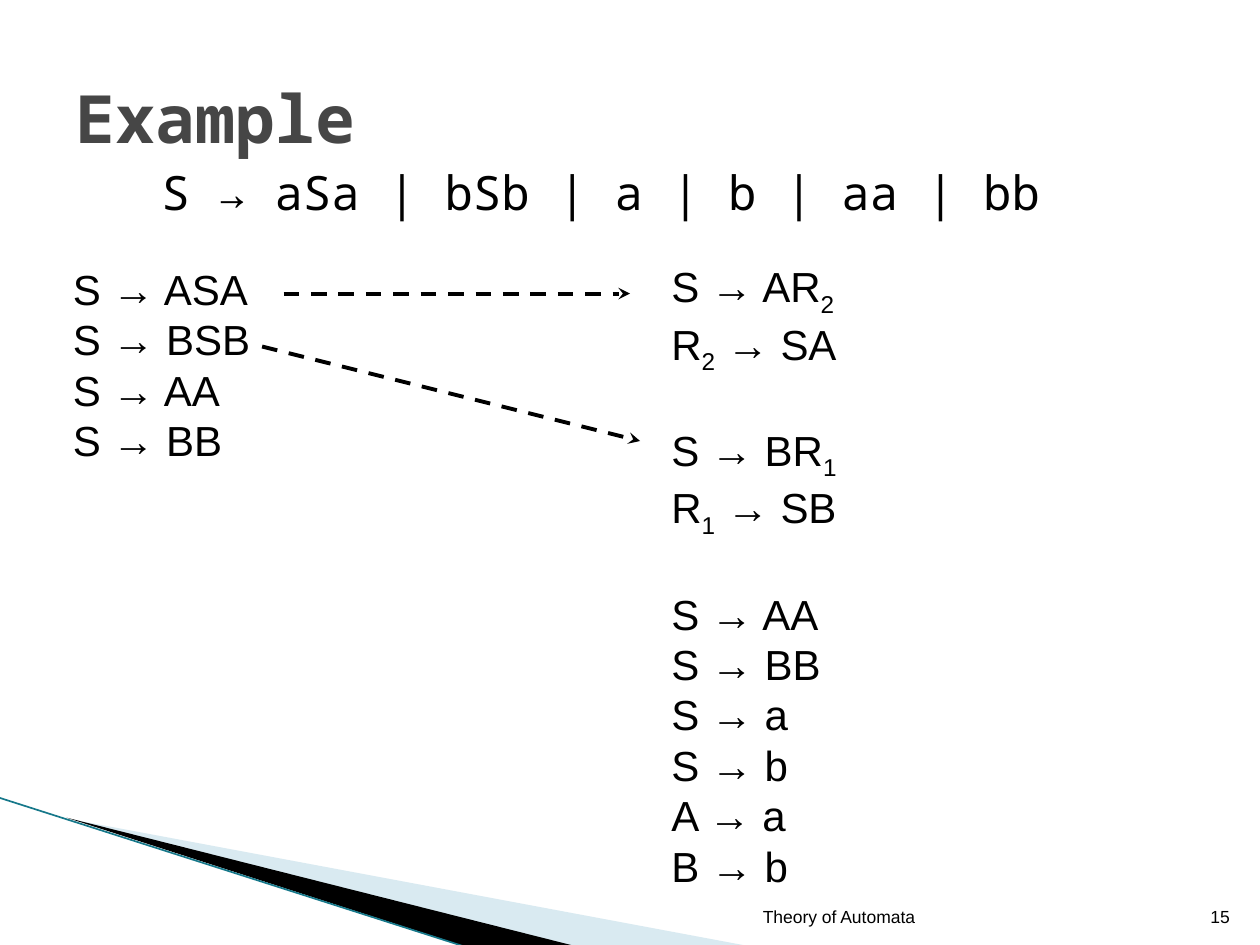
"""Build the slide that rewrites a palindrome grammar into Chomsky normal form."""
from dataclasses import dataclass
from typing import Optional

from lxml.etree import SubElement
from pptx import Presentation
from pptx.dml.color import RGBColor
from pptx.enum.dml import MSO_LINE
from pptx.enum.shapes import MSO_CONNECTOR
from pptx.enum.text import MSO_ANCHOR, MSO_AUTO_SIZE, PP_ALIGN
from pptx.oxml.ns import qn
from pptx.util import Inches, Pt

COLORS = {"ink": "000000", "title": "464646", "pale": "A0CBDC", "edge": "16788A"}
MONO, SANS = "Noto Sans Mono", "Arial"
Point = tuple[float, float]


@dataclass(frozen=True)
class Band:
    """A corner wedge with its fill."""
    points: tuple[Point, ...]
    color: str
    opacity: Optional[int] = None


@dataclass(frozen=True)
class Stroke:
    """A straight line, dashed with an arrowhead when it marks a derivation."""
    start: Point
    end: Point
    color: str
    width: float
    arrow: bool = False


BANDS = (
    Band(((0.55, 6.5), (5.95, 7.51), (4.56, 7.51)), "pale", 40),
    Band(((0.53, 6.49), (4.57, 7.51), (3.72, 7.52)), "ink"),
)
STROKES = (
    Stroke((-0.01, 6.33), (3.71, 7.52), "edge", 0.95),
    Stroke((2.25, 2.33), (5, 2.33), "ink", 2.25, True),
    Stroke((2.08, 2.75), (5.08, 3.5), "ink", 2.25, True),
)
START_RULES = (("S → ASA", "S → BSB", "S → AA", "S → BB"),)
NORMAL_RULES = (
    ("S → AR_2", "R_2 → SA"),
    ("S → BR_1", "R_1 → SB"),
    ("S → AA", "S → BB", "S → a", "S → b", "A → a", "B → b"),
)


def add_run(paragraph, text: str, font: str, size: float, color: str,
            bold: bool, subscript: bool = False) -> None:
    """Append one formatted run."""
    if not text:
        return
    run = paragraph.add_run()
    run.text = text
    run.font.name, run.font.size, run.font.bold = font, Pt(size), bold
    run.font.color.rgb = RGBColor.from_string(COLORS[color])
    if subscript:
        run.font._element.set("baseline", "-25000")


def write(shape, groups, *, at, font=SANS, size=24, color="ink", bold=False,
          align=PP_ALIGN.LEFT, anchor=MSO_ANCHOR.TOP, gap=28) -> None:
    """Place a shape and fill it with groups of lines, where _ marks a subscript."""
    shape.left, shape.top, shape.width, shape.height = map(Inches, at)
    frame = shape.text_frame
    frame.word_wrap, frame.auto_size = True, MSO_AUTO_SIZE.NONE
    frame.vertical_anchor = anchor
    paragraph = None
    for group_index, group in enumerate(groups):
        for line_index, line in enumerate(group):
            paragraph = frame.paragraphs[0] if paragraph is None else frame.add_paragraph()
            paragraph.alignment = align
            paragraph.space_before = Pt(gap if group_index and not line_index else 0)
            plain, *marked = line.split("_")
            add_run(paragraph, plain, font, size, color, bold)
            for piece in marked:
                add_run(paragraph, piece[0], font, size, color, bold, subscript=True)
                add_run(paragraph, piece[1:], font, size, color, bold)


def draw_band(slide, band: Band) -> None:
    """Draw a filled wedge without an outline."""
    start, *rest = [(Inches(x), Inches(y)) for x, y in band.points]
    builder = slide.shapes.build_freeform(*start)
    builder.add_line_segments(rest, close=True)
    wedge = builder.convert_to_shape()
    wedge.shadow.inherit = False
    wedge.line.fill.background()
    wedge.fill.solid()
    wedge.fill.fore_color.rgb = RGBColor.from_string(COLORS[band.color])
    if band.opacity is not None:
        fill_color = wedge._element.spPr.find(".//" + qn("a:srgbClr"))
        SubElement(fill_color, qn("a:alpha")).set("val", str(band.opacity * 1000))


def draw_stroke(slide, stroke: Stroke) -> None:
    """Draw a connector without a shadow."""
    ends = [Inches(value) for value in stroke.start + stroke.end]
    connector = slide.shapes.add_connector(MSO_CONNECTOR.STRAIGHT, *ends)
    connector.line.color.rgb = RGBColor.from_string(COLORS[stroke.color])
    connector.line.width = Pt(stroke.width)
    if stroke.arrow:
        connector.line.dash_style = MSO_LINE.DASH
        SubElement(connector.line._get_or_add_ln(), qn("a:tailEnd")).set("type", "stealth")
    SubElement(connector._element.spPr, qn("a:effectLst"))


def main() -> None:
    """Assemble and save the slide."""
    deck = Presentation()
    deck.slide_width, deck.slide_height = Inches(10), Inches(7.5)
    slide = deck.slides.add_slide(deck.slide_layouts[1])
    for band in BANDS:
        draw_band(slide, band)
    for stroke in STROKES:
        draw_stroke(slide, stroke)

    write(slide.shapes.title, [["Example"]], at=(0.5, 0.3, 9, 1.25), font=MONO,
          size=38, color="title", bold=True, anchor=MSO_ANCHOR.MIDDLE)
    grammar = slide.placeholders[1]
    write(grammar, [["S → aSa | bSb | a | b | aa | bb"]], at=(0.5, 1.25, 9, 1.17),
          font=MONO, size=27)
    grammar.text_frame.margin_top = Inches(0.1)
    production = grammar.text_frame.paragraphs[0]
    production.line_spacing = 0.9
    properties = production._p.get_or_add_pPr()
    properties.set("marL", str(Inches(0.68)))
    properties.set("indent", "0")
    SubElement(properties, qn("a:buNone"))

    for rules, at in ((START_RULES, (0.48, 2.04, 4.2, 4.7)),
                      (NORMAL_RULES, (5.23, 2.02, 1.52, 4.89))):
        write(slide.shapes.add_textbox(0, 0, 0, 0), rules, at=at)
    for label, at in (("Theory of Automata", (4.79, 7.01, 2.57, 0.4)),
                      ("15", (9.46, 7.01, 0.4, 0.4))):
        write(slide.shapes.add_textbox(0, 0, 0, 0), [[label]], at=at, size=10,
              align=PP_ALIGN.RIGHT, anchor=MSO_ANCHOR.BOTTOM)
    deck.save("out.pptx")


if __name__ == "__main__":
    main()
